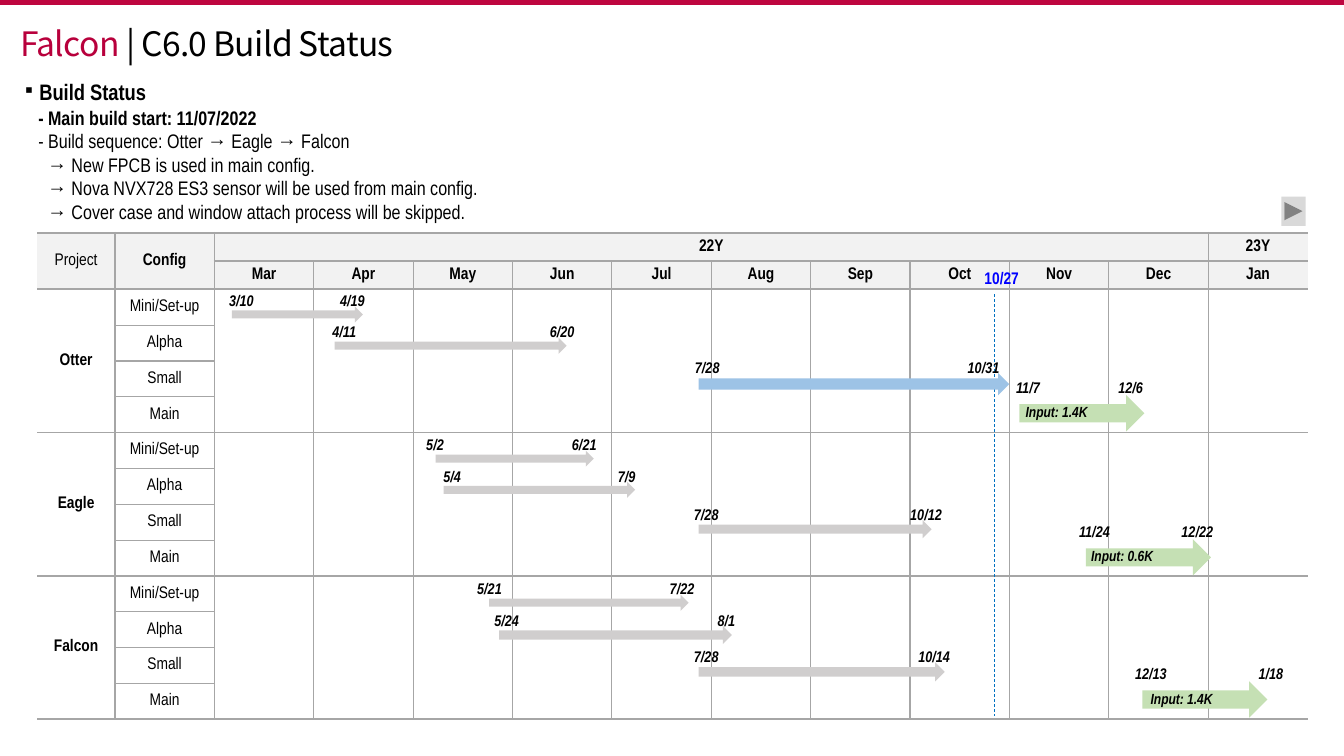
import pptx
import pptx.util
from lxml import etree
from pptx.dml.color import RGBColor
from pptx.enum.dml import MSO_LINE
from pptx.enum.shapes import MSO_CONNECTOR, MSO_SHAPE
from pptx.enum.text import MSO_ANCHOR, MSO_AUTO_SIZE, PP_ALIGN
from pptx.oxml.ns import qn
from pptx.util import Inches, Pt

BLACK = RGBColor(0x00, 0x00, 0x00)
CRIMSON = RGBColor(0xB8, 0x00, 0x3C)
TOP_RULE = RGBColor(0xBE, 0x06, 0x3F)
TODAY_TEXT = RGBColor(0x00, 0x00, 0xFF)
TODAY_LINE = RGBColor(0x00, 0x70, 0xC0)
GRID = RGBColor(0xA6, 0xA6, 0xA6)
HEADER = RGBColor(0xF2, 0xF2, 0xF2)
BUTTON = RGBColor(0xD9, 0xD9, 0xD9)
GRAY = RGBColor(0xD0, 0xCE, 0xCE)
BLUE = RGBColor(0x9D, 0xC3, 0xE6)
GREEN = RGBColor(0xC5, 0xE0, 0xB4)

MONTHS = ["Mar", "Apr", "May", "Jun", "Jul", "Aug", "Sep", "Oct", "Nov", "Dec", "Jan"]
PROJECTS = ["Otter", "Eagle", "Falcon"]
CONFIGS = ["Mini/Set-up", "Alpha", "Small", "Main"]

# Text, size, bold, left margin, first-line indent, bullet
NOTES = [
    ("Build Status", 16, True, 0.14, -0.14, "▪"),
    ("- Main build start: 11/07/2022", 14, True, 0.13, 0, None),
    ("- Build sequence: Otter → Eagle → Falcon", 14, False, 0.13, 0, None),
    ("→ New FPCB is used in main config.", 14, False, 0.22, 0, None),
    ("→ Nova NVX728 ES3 sensor will be used from main config.", 14, False, 0.22, 0, None),
    ("→ Cover case and window attach process will be skipped.", 14, False, 0.22, 0, None),
]

# Bar left, top, width, height, colour, then start date and its left, end date and its left
BUILDS = [
    (2.3, 3.04, 1.3, 0.16, GRAY, "3/10", 2.14, "4/19", 3.24),
    (3.32, 3.35, 2.3, 0.16, GRAY, "4/11", 3.16, "6/20", 5.32),
    (6.93, 3.7, 3.08, 0.22, BLUE, "7/28", 6.76, "10/31", 9.5),
    (4.32, 4.47, 1.57, 0.16, GRAY, "5/2", 4.06, "6/21", 5.54),
    (4.4, 4.78, 1.9, 0.16, GRAY, "5/4", 4.23, "7/9", 5.96),
    (6.93, 5.16, 2.31, 0.18, GRAY, "7/28", 6.75, "10/12", 8.93),
    (4.85, 5.9, 1.98, 0.16, GRAY, "5/21", 4.6, "7/22", 6.51),
    (4.95, 6.21, 2.31, 0.18, GRAY, "5/24", 4.77, "8/1", 6.95),
    (6.93, 6.57, 2.44, 0.19, GRAY, "7/28", 6.75, "10/14", 9.01),
]
# Bar left, top, start date, end date, end date left, input label and its left
MAIN_BUILDS = [
    (10.11, 3.92, "11/7", "12/6", 10.96, "Input: 1.4K", 10.03),
    (10.77, 5.35, "11/24", "12/22", 11.62, "Input: 0.6K", 10.68),
    (11.33, 6.76, "12/13", "1/18", 12.35, "Input: 1.4K", 11.27),
]


class BuildSlide:
    body_font = "Arial Narrow"
    title_font = "Noto Sans CJK KR"

    def __init__(self, presentation):
        self.slide = presentation.slides.add_slide(presentation.slide_layouts[5])

    def style(self, run, size, color=BLACK, bold=False, italic=False, font=None):
        run.font.name = font or self.body_font
        run.font.size = Pt(size)
        run.font.bold = bold
        run.font.italic = italic
        run.font.color.rgb = color

    def title(self, parts):
        shape = self.slide.shapes.title
        shape.left, shape.top, shape.width, shape.height = map(Inches, (0.2, 0.23, 3.87, 0.4))
        frame = shape.text_frame
        frame.margin_left = frame.margin_right = frame.margin_top = frame.margin_bottom = 0
        frame.auto_size = MSO_AUTO_SIZE.NONE
        frame.word_wrap = False
        frame.vertical_anchor = MSO_ANCHOR.TOP
        paragraph = frame.paragraphs[0]
        paragraph.alignment = PP_ALIGN.LEFT
        for text, color in parts:
            run = paragraph.add_run()
            run.text = text
            self.style(run, 24, color, font=self.title_font)
            run._r.get_or_add_rPr().set("spc", "-50")

    def notes(self, lines):
        frame = self.slide.shapes.add_textbox(*map(Inches, (0.2, 0.76, 9.23, 1.5))).text_frame
        frame.word_wrap = True
        frame.margin_left = frame.margin_right = Inches(0.05)
        frame.margin_top = frame.margin_bottom = Inches(0.02)
        for index, (text, size, bold, margin, indent, bullet) in enumerate(lines):
            paragraph = frame.add_paragraph() if index else frame.paragraphs[0]
            paragraph.text = text
            properties = paragraph._p.get_or_add_pPr()
            properties.set("marL", str(Inches(margin)))
            properties.set("indent", str(Inches(indent)))
            if bullet:
                etree.SubElement(properties, qn("a:buFont"), typeface=self.body_font)
                etree.SubElement(properties, qn("a:buChar"), char=bullet)
            self.style(paragraph.runs[0], size, bold=bold)

    def label(self, text, left, top, width=0.51, size=11, color=BLACK, italic=True):
        frame = self.slide.shapes.add_textbox(*map(Inches, (left, top, width, 0.29))).text_frame
        frame.margin_left = frame.margin_right = 0
        frame.word_wrap = True
        frame.text = text
        frame.paragraphs[0].alignment = PP_ALIGN.CENTER
        self.style(frame.paragraphs[0].runs[0], size, color, True, italic)

    def shape(self, kind, left, top, width, height, color):
        shape = self.slide.shapes.add_shape(kind, *map(Inches, (left, top, width, height)))
        shape.shadow.inherit = False
        shape.fill.solid()
        shape.fill.fore_color.rgb = color
        shape.line.fill.background()

    def line(self, x1, y1, x2, y2, color, width, dash=None):
        connector = self.slide.shapes.add_connector(
            MSO_CONNECTOR.STRAIGHT, *map(Inches, (x1, y1, x2, y2)))
        connector.line.color.rgb = color
        connector.line.width = Pt(width)
        connector.line.dash_style = dash
        etree.SubElement(connector._element.spPr, qn("a:effectLst"))

    def border(self, cell, widths):
        properties = cell._tc.get_or_add_tcPr()
        for position, (side, width) in enumerate(zip("LRTB", widths)):
            line = etree.Element(qn("a:ln" + side), w=str(Pt(width)))
            if width:
                fill = etree.SubElement(line, qn("a:solidFill"))
                etree.SubElement(fill, qn("a:srgbClr"), val=str(GRID))
            else:
                etree.SubElement(line, qn("a:noFill"))
            properties.insert(position, line)

    def region(self, table, row, column, rows=1, columns=1, text="", bold=False):
        """Fill one cell, or one merged block, and draw its outer edges."""
        last_row, last_column = row + rows - 1, column + columns - 1
        if rows * columns > 1:
            table.cell(row, column).merge(table.cell(last_row, last_column))
        for r in range(row, last_row + 1):
            for c in range(column, last_column + 1):
                cell = table.cell(r, c)
                origin = (r, c) == (row, column)
                cell.margin_top = cell.margin_bottom = 0
                cell.margin_left = cell.margin_right = Inches(0.05)
                cell.vertical_anchor = MSO_ANCHOR.MIDDLE
                if row < 2:
                    cell.fill.solid()
                    cell.fill.fore_color.rgb = HEADER
                else:
                    cell.fill.background()
                paragraph = cell.text_frame.paragraphs[0]
                if origin and text:
                    paragraph.text = text
                    paragraph.alignment = PP_ALIGN.CENTER
                    self.style(paragraph.runs[0], 12, bold=bold)
                else:
                    etree.SubElement(paragraph._p, qn("a:endParaRPr"), sz="1200")
                self.border(cell, (
                    1 if column > 0 and (origin or c == column) else 0,
                    1 if last_column < 12 and (origin or c == last_column) else 0,
                    (1.5 if row in (0, 2) else 1) if origin or r == row else 0,
                    (1.5 if last_row in (1, 13) else 1) if origin or r == last_row else 0))

    def schedule(self):
        table = self.slide.shapes.add_table(14, 13, *map(Inches, (0.37, 2.31, 12.6, 4.83))).table
        table.first_row = table.horz_banding = False
        for index, column in enumerate(table.columns):
            column.width = Inches((12.6 - 0.77) / 12 if index else 0.77)
        for index, row in enumerate(table.rows):
            row.height = Inches(0.28 if index < 2 else (4.83 - 0.56) / 12)
        self.region(table, 0, 0, rows=2, text="Project")
        self.region(table, 0, 1, rows=2, text="Config", bold=True)
        self.region(table, 0, 2, columns=10, text="22Y", bold=True)
        self.region(table, 0, 12, text="23Y", bold=True)
        for column, month in enumerate(MONTHS, 2):
            self.region(table, 1, column, text=month, bold=True)
        for index, project in enumerate(PROJECTS):
            top = 2 + index * len(CONFIGS)
            self.region(table, top, 0, rows=4, text=project, bold=True)
            for row, config in enumerate(CONFIGS, top):
                self.region(table, row, 1, text=config)
            for column in range(2, 13):
                self.region(table, top, column, rows=4)


def main():
    presentation = pptx.Presentation()
    presentation.slide_width, presentation.slide_height = Inches(13.33), Inches(7.5)
    page = BuildSlide(presentation)

    # Heading and notes
    page.line(0, 0.02, 13.33, 0.02, TOP_RULE, 4.5)
    page.title([("Falcon", CRIMSON), (" | C6.0 Build Status", BLACK)])
    page.notes(NOTES)

    # Schedule grid and today marker
    page.schedule()
    page.label("10/27", 9.66, 2.61, 0.55, 12, TODAY_TEXT, italic=False)
    page.line(9.86, 2.92, 9.86, 7.1, TODAY_LINE, 0.5, MSO_LINE.DASH)

    # Build bars
    for left, top, width, height, color, start, start_left, end, end_left in BUILDS:
        page.shape(MSO_SHAPE.RIGHT_ARROW, left, top, width, height, color)
        page.label(start, start_left, top - 0.2)
        page.label(end, end_left, top - 0.2)
    for left, top, start, end, end_left, volume, volume_left in MAIN_BUILDS:
        page.shape(MSO_SHAPE.RIGHT_ARROW, left, top, 1.24, 0.36, GREEN)
        page.label(start, left - 0.17, top - 0.22)
        page.label(end, end_left, top - 0.22)
        page.label(volume, volume_left, top + 0.03, 0.9, 10.5)

    # Forward button
    page.shape(MSO_SHAPE.ACTION_BUTTON_FORWARD_OR_NEXT, 12.71, 1.95, 0.24, 0.29, BUTTON)
    presentation.save("out.pptx")


if __name__ == "__main__":
    main()
